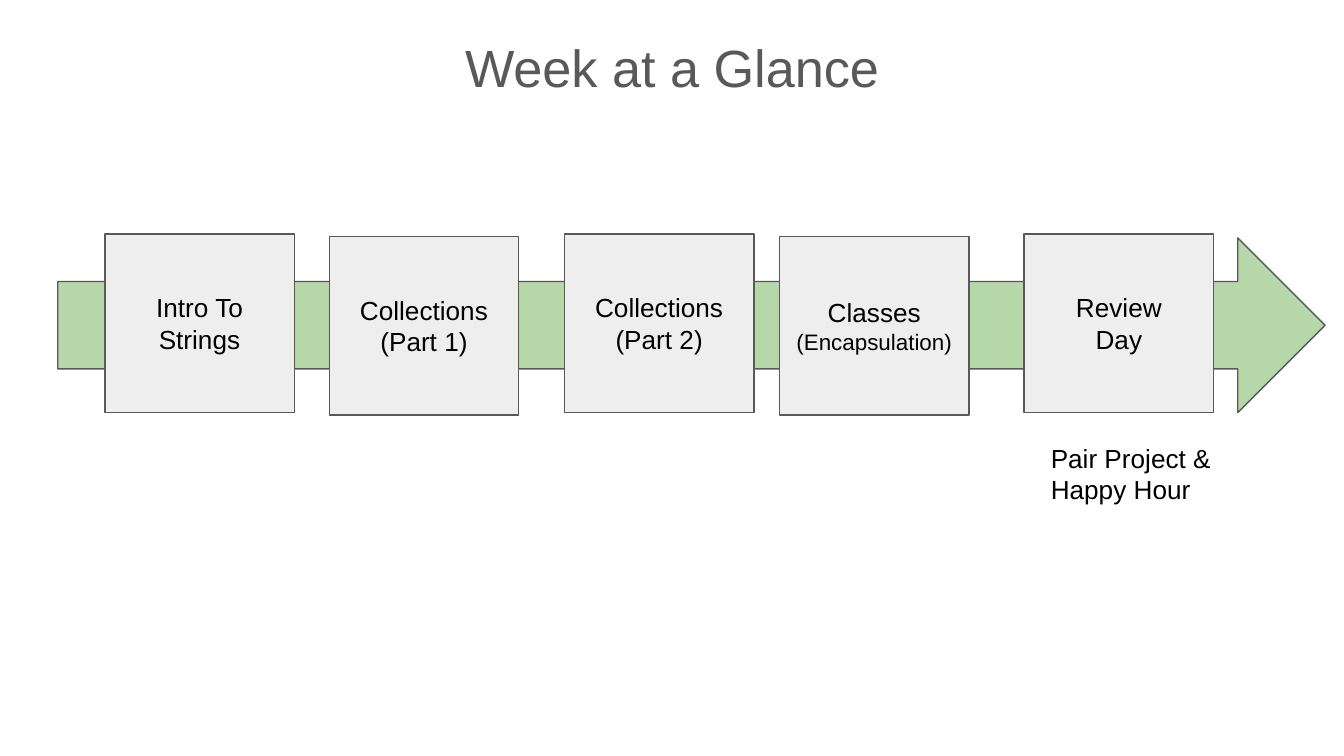
"""Build the "Week at a Glance" slide: five daily topics along an arrow."""
from pptx import Presentation
from pptx.dml.color import RGBColor
from pptx.enum.shapes import MSO_SHAPE
from pptx.enum.text import MSO_ANCHOR, MSO_AUTO_SIZE, PP_ALIGN
from pptx.util import Inches, Pt

ARROW, BOX = MSO_SHAPE.RIGHT_ARROW, MSO_SHAPE.RECTANGLE
TOP, MIDDLE = MSO_ANCHOR.TOP, MSO_ANCHOR.MIDDLE
LEFT, CENTER = PP_ALIGN.LEFT, PP_ALIGN.CENTER
FIXED, GROW = MSO_AUTO_SIZE.NONE, MSO_AUTO_SIZE.SHAPE_TO_FIT_TEXT
GREY, BLACK = "595959", "000000"


def color(value):
    return RGBColor.from_string(value)


def write(frame, text, size, text_color, align, anchor, fit=FIXED):
    frame.word_wrap = True
    frame.auto_size = fit
    frame.vertical_anchor = anchor
    frame.margin_left = frame.margin_right = Inches(0.1)
    frame.margin_top = frame.margin_bottom = Inches(0.1)
    paragraph = frame.paragraphs[0]
    paragraph.text = text
    paragraph.alignment = align
    paragraph.font.name = "Arial"
    paragraph.font.size = Pt(size)
    paragraph.font.color.rgb = color(text_color)
    return paragraph


prs = Presentation()
prs.slide_width = Inches(10)
prs.slide_height = prs.slide_width * 9 // 16
slide = prs.slides.add_slide(prs.slide_layouts[5])

title = slide.shapes.title
title.left, title.top = Inches(0.34), Inches(0.16)
title.width, title.height = Inches(9.32), Inches(0.87)
write(title.text_frame, "Week at a Glance", 28, GREY, CENTER, TOP)

week_arrow = slide.shapes.add_shape(
    ARROW, Inches(0.43), Inches(1.77), Inches(9.43), Inches(1.3))
week_arrow.fill.solid()
week_arrow.fill.fore_color.rgb = color("B6D7A8")
outlined = [week_arrow]

days = [
    (0.78, 1.74, "Intro To Strings", ""),
    (2.45, 1.76, "Collections\n(Part 1)", ""),
    (4.2, 1.74, "Collections\n(Part 2)", ""),
    (5.8, 1.76, "Classes\n", "(Encapsulation)"),
    (7.62, 1.74, "Review\nDay", ""),
]
for left, top, topic, detail in days:
    day = slide.shapes.add_shape(
        BOX, Inches(left), Inches(top), Inches(1.41), Inches(1.33))
    day.fill.solid()
    day.fill.fore_color.rgb = color("EEEEEE")
    label = write(day.text_frame, topic, 14, BLACK, CENTER, MIDDLE)
    if detail:
        detail_run = label.add_run()
        detail_run.text = detail
        detail_run.font.size = Pt(12)
    outlined.append(day)

for shape in outlined:
    shape.shadow.inherit = False
    shape.line.color.rgb = color(GREY)
    shape.line.width = Pt(0.75)

closing_event = slide.shapes.add_textbox(
    Inches(7.72), Inches(3.19), Inches(1.76), Inches(0.67))
write(closing_event.text_frame, "Pair Project &\nHappy Hour", 14, BLACK, LEFT, TOP, GROW)

prs.save("out.pptx")
